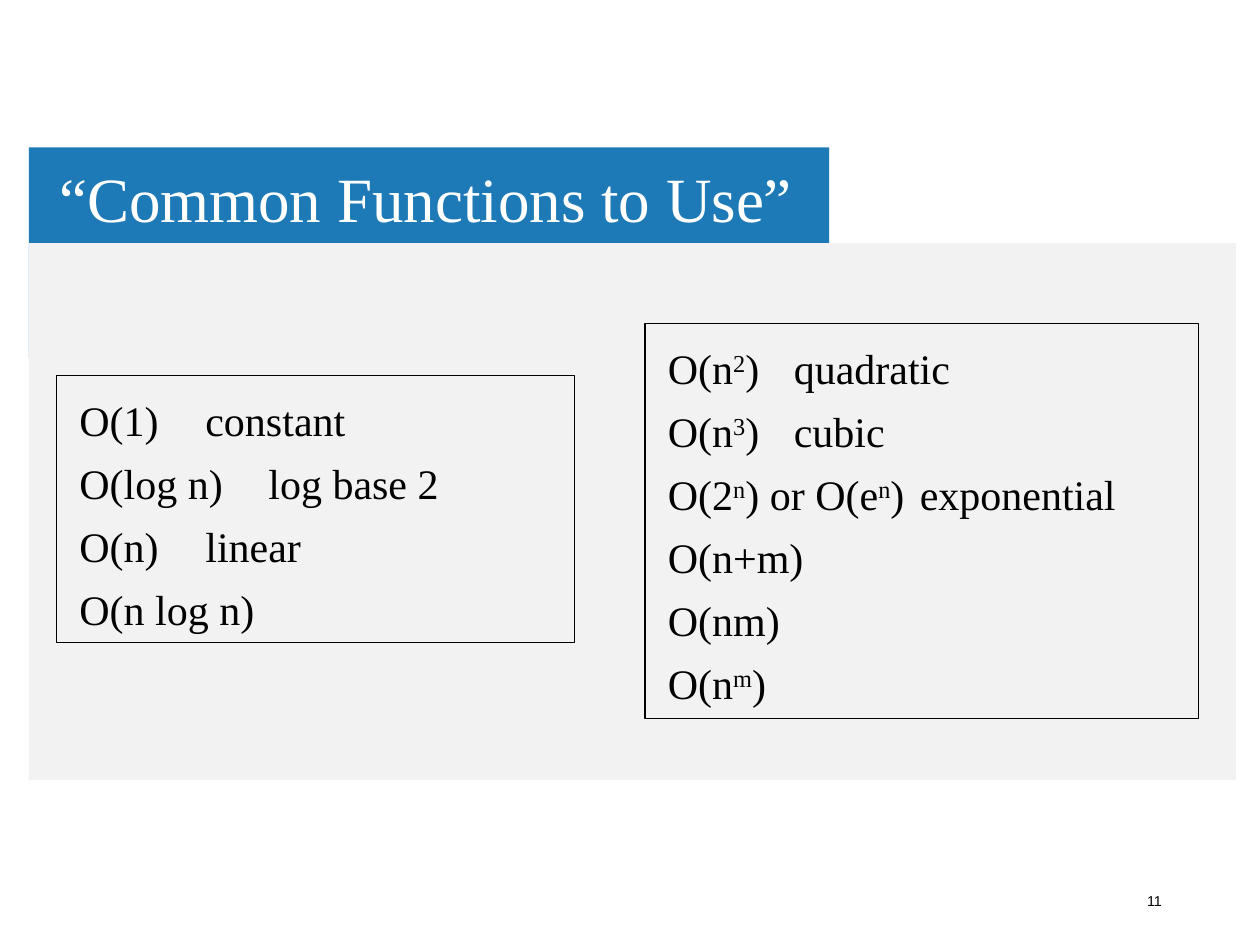
from lxml.etree import SubElement
from pptx import Presentation
from pptx.dml.color import RGBColor
from pptx.enum.shapes import MSO_SHAPE as Shape
from pptx.enum.text import MSO_ANCHOR as Anchor, MSO_AUTO_SIZE as AutoSize, PP_ALIGN as Align
from pptx.oxml.ns import qn
from pptx.util import Inches, Pt

BLUE = RGBColor(0x1E, 0x7A, 0xB6)
GRAY = RGBColor(0xF2, 0xF2, 0xF2)
WHITE = RGBColor(0xFF, 0xFF, 0xFF)
BLACK = RGBColor(0, 0, 0)
SERIF = "Times New Roman"

# Each row: (text, is superscript) pieces, then the name of the growth rate
SLOW_GROWTH = [
    ([("O(1)", False)], "constant"),
    ([("O(log n)", False)], "log base 2"),
    ([("O(n)", False)], "linear"),
    ([("O(n log n)", False)], ""),
]
FAST_GROWTH = [
    ([("O(n", False), ("2", True), (")", False)], "quadratic"),
    ([("O(n", False), ("3", True), (")", False)], "cubic"),
    ([("O(2", False), ("n", True), (") or O(e", False), ("n", True), (")", False)],
     "exponential"),
    ([("O(n+m)", False)], ""),
    ([("O(nm)", False)], ""),
    ([("O(n", False), ("m", True), (")", False)], ""),
]


def place(shape, box):
    shape.left, shape.top, shape.width, shape.height = (Inches(v) for v in box)


def style(font, name, size, color):
    font.name, font.size = name, Pt(size)
    font.color.rgb = color


def add_panel(slide, box, color, depth):
    """Put a plain panel behind the placeholders; depth 0 is the backmost."""
    panel = slide.shapes.add_shape(Shape.RECTANGLE, *(Inches(v) for v in box))
    panel.shadow.inherit = False
    panel.fill.solid()
    panel.fill.fore_color.rgb = color
    panel.line.fill.background()
    slide.shapes.element.insert(2 + depth, panel.element)


def fill_title(title, box, text):
    place(title, box)
    frame = title.text_frame
    frame.text = text
    frame.auto_size = AutoSize.NONE
    frame.vertical_anchor = Anchor.MIDDLE
    frame.margin_left = frame.margin_right = Inches(0.07)
    frame.margin_top = frame.margin_bottom = Inches(0.04)
    heading = frame.paragraphs[0]
    heading.alignment = Align.LEFT
    heading.line_spacing = 0.9
    style(heading.font, SERIF, 36, WHITE)


def fill_growth_list(body, box, rows, name_column):
    """Fill a bordered list whose growth names align at name_column inches."""
    place(body, box)
    body.line.color.rgb = BLACK
    body.line.width = Pt(0.75)
    frame = body.text_frame
    frame.auto_size = AutoSize.NONE
    frame.vertical_anchor = Anchor.TOP
    frame.margin_left = Inches(0.18)
    for index, (pieces, growth) in enumerate(rows):
        row = frame.paragraphs[0] if index == 0 else frame.add_paragraph()
        properties = row._p.get_or_add_pPr()
        properties.set("marL", "0")
        properties.set("indent", "0")
        SubElement(properties, qn("a:buNone"))
        if growth:
            tabs = SubElement(properties, qn("a:tabLst"))
            SubElement(tabs, qn("a:tab"), pos=str(Inches(name_column)), algn="l")
        row.line_spacing = 1.25
        row.space_before = Pt(0)
        style(row.font, SERIF, 24, BLACK)
        for text, raised in pieces + ([("\t" + growth, False)] if growth else []):
            run = row.add_run()
            run.text = text
            if raised:
                run.font._element.set("baseline", "30000")


def add_page_number(slide, box, number):
    frame = slide.shapes.add_textbox(*(Inches(v) for v in box)).text_frame
    frame.word_wrap = True
    frame.vertical_anchor = Anchor.MIDDLE
    frame.text = number
    frame.paragraphs[0].alignment = Align.RIGHT
    style(frame.paragraphs[0].font, "Arial", 8.2, BLACK)


def main():
    deck = Presentation()
    deck.slide_width, deck.slide_height = Inches(10), Inches(7.5)
    slide = deck.slides.add_slide(deck.slide_layouts.get_by_name("Two Content"))
    add_panel(slide, (0.23, 1.17, 6.35, 1.67), BLUE, 0)
    add_panel(slide, (0.23, 1.93, 9.58, 4.26), GRAY, 1)
    title, slow, fast = slide.placeholders
    fill_title(title, (0.4, 1.21, 6.35, 0.79), "“Common Functions to Use”")
    fill_growth_list(slow, (0.45, 2.98, 4.11, 2.12), SLOW_GROWTH, 2.38)
    fill_growth_list(fast, (5.12, 2.57, 4.39, 3.13), FAST_GROWTH, 2.31)
    add_page_number(slide, (7.07, 6.95, 2.25, 0.4), "11")
    deck.save("out.pptx")


if __name__ == "__main__":
    main()
